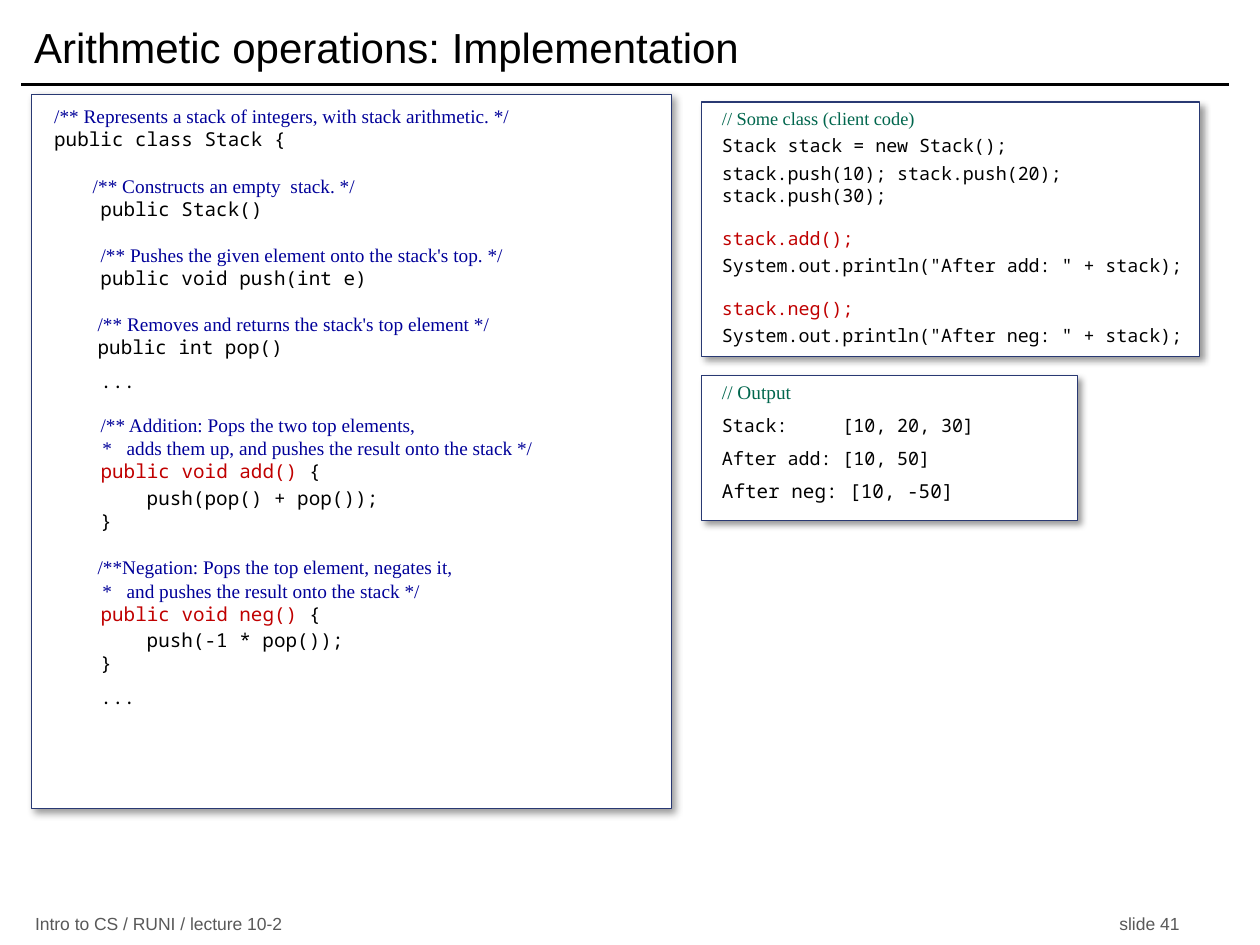
import pptx
import pptx.util
import pptx.dml.color
import pptx.enum.shapes
import pptx.enum.text
import pptx.oxml
import pptx.oxml.ns

Inches, Pt = pptx.util.Inches, pptx.util.Pt
PP_ALIGN = pptx.enum.text.PP_ALIGN
MIDDLE = pptx.enum.text.MSO_ANCHOR.MIDDLE
TOP = pptx.enum.text.MSO_ANCHOR.TOP

TITLE = "Arithmetic operations: Implementation"
FOOTERS = [
    ("Intro to CS / RUNI / lecture 10-2", 0.18, PP_ALIGN.LEFT),
    ("slide 41", 5.46, PP_ALIGN.RIGHT),
]
STYLES = {
    "doc": ("Times New Roman", "000099"),
    "note": ("Times New Roman", "00664D"),
    "code": ("Noto Sans Mono", "000000"),
    "key": ("Noto Sans Mono", "C00000"),
}
GAP = 13.2
TAB = ("    ", "code")

STACK_CLASS = [
    (0, [("/** Represents a stack of integers, with stack arithmetic. */", "doc")]),
    (0, [("public class Stack {", "code")]),
    (GAP, [("        /** Constructs an empty  stack. */", "doc")]),
    (0, [("    public Stack()", "code")]),
    (GAP, [TAB, ("/** Pushes the given element onto the stack's top. */", "doc")]),
    (0, [("    public void push(int e)", "code")]),
    (GAP, [("         /** Removes and returns the stack's top element */", "doc")]),
    (0, [("         ", "doc"), ("public int pop()", "code")]),
    (6, [("    ...", "code")]),
    (12, [TAB, ("/** Addition: Pops the two top elements,", "doc")]),
    (0, [("          *   adds them up, and pushes the result onto the stack */", "doc")]),
    (0, [TAB, ("public void add() ", "key"), ("{", "code")]),
    (2, [("        push(pop() + pop());", "code")]),
    (0, [("    }", "code")]),
    (GAP, [("         /**Negation: Pops the top element, negates it,", "doc")]),
    (0, [("          *   and pushes the result onto the stack */", "doc")]),
    (0, [TAB, ("public void neg() ", "key"), ("{", "code")]),
    (2, [("        push(-1 * pop());", "code")]),
    (0, [("    }", "code")]),
    (6, [("    ...", "code")]),
]
CLIENT = [
    (0, [("// Some class (client code)", "note")]),
    (3, [("Stack stack = new Stack();", "code")]),
    (3, [("stack.push(10); stack.push(20); stack.push(30);", "code")]),
    (12, [("stack.add();", "key")]),
    (3, [('System.out.println("After add: " + stack);', "code")]),
    (12, [("stack.neg();", "key")]),
    (3, [('System.out.println("After neg: " + stack);', "code")]),
]
OUTPUT = [
    (0, [("// Output", "note")]),
    (6, [("Stack:     [10, 20, 30]", "code")]),
    (6, [("After add: [10, 50]", "code")]),
    (6, [("After neg: [10, -50]", "code")]),
]
PANELS = [
    ((0.25, 0.75, 5.08, 5.67), (0.18, 0.08), [11] * len(STACK_CLASS), STACK_CLASS),
    ((5.57, 0.81, 3.95, 2.02), (0.16, 0.04), [10.5] * len(CLIENT), CLIENT),
    ((5.57, 2.98, 2.98, 1.15), (0.16, 0.04), [11, 10.5, 10.5, 11], OUTPUT),
]
SHADOW = (
    '<a:effectLst %s><a:outerShdw blurRad="50800" dist="38100" dir="2700000" '
    'algn="tl" rotWithShape="0"><a:srgbClr val="000000"><a:alpha val="40000"/>'
    "</a:srgbClr></a:outerShdw></a:effectLst>" % pptx.oxml.ns.nsdecls("a")
)
NO_EFFECT = "<a:effectLst %s/>" % pptx.oxml.ns.nsdecls("a")


def color(value):
    return pptx.dml.color.RGBColor.from_string(value)


def set_font(font, name, size, value):
    font.name = name
    font.size = Pt(size)
    font.color.rgb = color(value)


def set_frame(frame, left, top, right, bottom, anchor):
    frame.margin_left, frame.margin_top = Inches(left), Inches(top)
    frame.margin_right, frame.margin_bottom = Inches(right), Inches(bottom)
    frame.vertical_anchor = anchor
    frame.word_wrap = True
    frame.auto_size = pptx.enum.text.MSO_AUTO_SIZE.NONE


def add_panel(slide, box, inset, sizes, lines):
    panel = slide.shapes.add_shape(
        pptx.enum.shapes.MSO_SHAPE.RECTANGLE, *map(Inches, box))
    panel.fill.solid()
    panel.fill.fore_color.rgb = color("FFFFFF")
    panel.line.color.rgb = color("293973")
    panel.line.width = Pt(0.75)
    panel._element.spPr.append(pptx.oxml.parse_xml(SHADOW))
    frame = panel.text_frame
    set_frame(frame, *inset, 0, 0, TOP)
    for index, ((before, parts), size) in enumerate(zip(lines, sizes)):
        line = frame.add_paragraph() if index else frame.paragraphs[0]
        line.alignment = PP_ALIGN.LEFT
        line.space_before = Pt(before)
        for text, style in parts:
            run = line.add_run()
            run.text = text
            name, value = STYLES[style]
            set_font(run.font, name, size, value)


def add_label(frame, text, size, value, align):
    set_frame(frame, 0.1, 0.05, 0.1, 0.05, MIDDLE)
    frame.text = text
    frame.paragraphs[0].alignment = align
    set_font(frame.paragraphs[0].runs[0].font, "Arial", size, value)


def main():
    deck = pptx.Presentation()
    deck.slide_width, deck.slide_height = Inches(10), Inches(7.5)
    slide = deck.slides.add_slide(deck.slide_layouts[5])

    title = slide.shapes.title
    title.left, title.top = Inches(0.17), Inches(0.08)
    title.width, title.height = Inches(9.58), Inches(0.58)
    add_label(title.text_frame, TITLE, 24, "000000", PP_ALIGN.LEFT)

    rule = slide.shapes.add_connector(
        pptx.enum.shapes.MSO_CONNECTOR.STRAIGHT,
        Inches(0.17), Inches(0.67), Inches(9.75), Inches(0.67))
    rule.line.color.rgb = color("000000")
    rule.line.width = Pt(2)
    rule._element.spPr.append(pptx.oxml.parse_xml(NO_EFFECT))

    for panel in PANELS:
        add_panel(slide, *panel)

    for text, left, align in FOOTERS:
        footer = slide.shapes.add_textbox(
            Inches(left), Inches(7.2), Inches(4), Inches(0.26))
        add_label(footer.text_frame, text, 10, "595959", align)

    deck.save("out.pptx")


if __name__ == "__main__":
    main()
